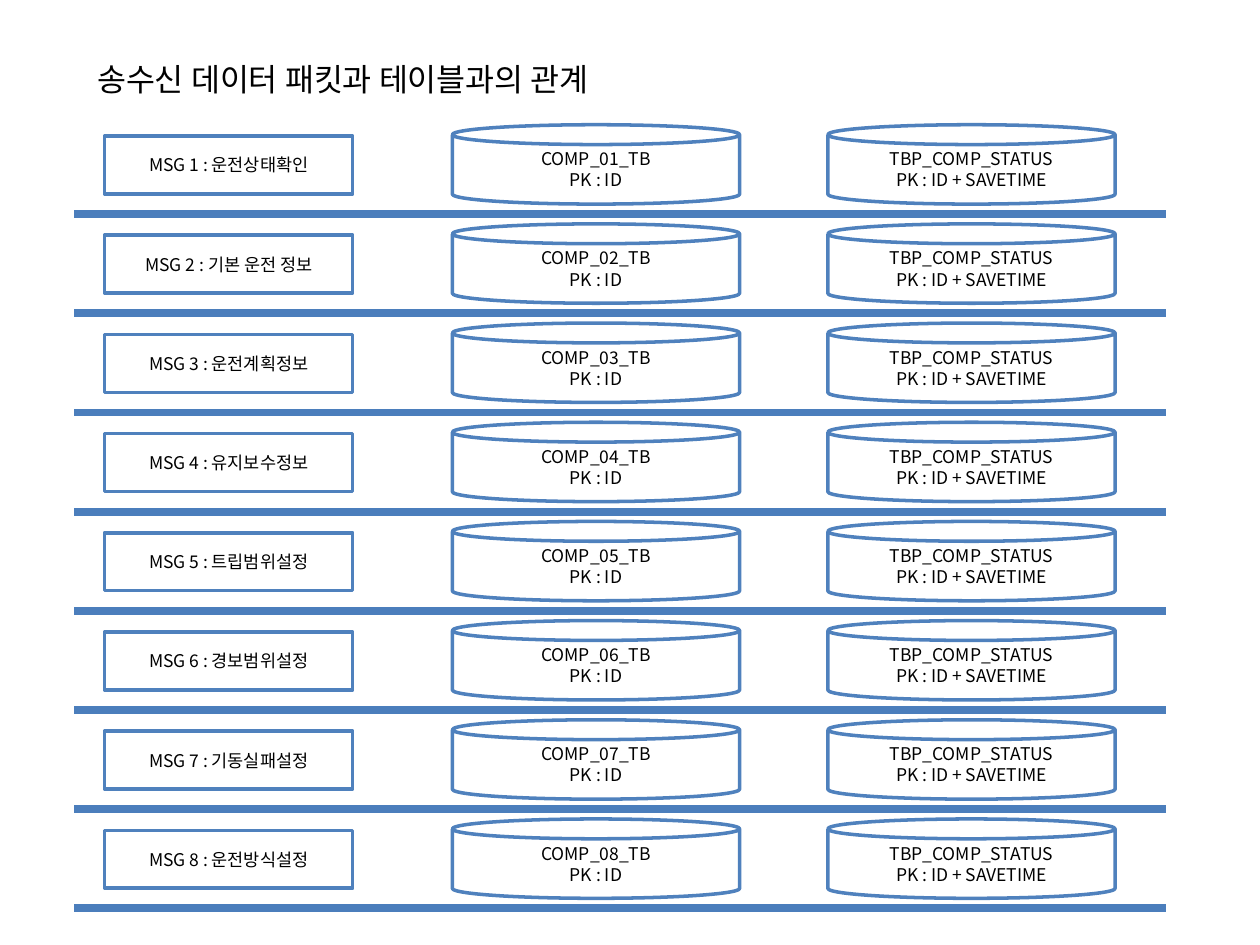
from pptx import Presentation
from pptx.dml.color import RGBColor
from pptx.enum.shapes import MSO_CONNECTOR, MSO_SHAPE
from pptx.enum.text import MSO_ANCHOR, MSO_AUTO_SIZE, PP_ALIGN
from pptx.oxml.ns import qn
from pptx.util import Inches, Pt
from lxml import etree

BLACK = RGBColor(0x00, 0x00, 0x00)
WHITE = RGBColor(0xFF, 0xFF, 0xFF)
OUTLINE = RGBColor(0x4F, 0x81, 0xBD)
DIVIDER = RGBColor(0x4B, 0x7E, 0xBC)
FONT = "Noto Sans CJK KR"

MESSAGES = ["운전상태확인", "기본 운전 정보", "운전계획정보", "유지보수정보",
            "트립범위설정", "경보범위설정", "기동실패설정", "운전방식설정"]
FIRST_DIVIDER, LAST_DIVIDER = 1.70, 7.21
ROW_PITCH = (LAST_DIVIDER - FIRST_DIVIDER) / (len(MESSAGES) - 1)


def write_lines(frame, lines, size, align):
    """Fill a text frame with one paragraph per line, in the Latin and East Asian font."""
    frame.text = "\n".join(lines)
    for paragraph in frame.paragraphs:
        paragraph.alignment = align
        for run in paragraph.runs:
            for name, value in {"name": FONT, "size": Pt(size)}.items():
                setattr(run.font, name, value)
            run.font.color.rgb = BLACK
            east_asian = etree.SubElement(run.font._element, qn("a:ea"))
            east_asian.set("typeface", FONT)


def add_box(preset, left, top, width, height, lines):
    box = slide.shapes.add_shape(preset, Inches(left), Inches(top), Inches(width), Inches(height))
    box.shadow.inherit = False
    box.fill.solid()
    box.fill.fore_color.rgb = WHITE
    box.line.color.rgb = OUTLINE
    box.line.width = Pt(2)
    box.text_frame.vertical_anchor = MSO_ANCHOR.MIDDLE
    write_lines(box.text_frame, lines, 10, PP_ALIGN.CENTER)


prs = Presentation()
prs.slide_width, prs.slide_height = Inches(10), Inches(7.5)
slide = prs.slides.add_slide(prs.slide_layouts[5])

title = slide.shapes.title
title_place = {"left": 0.67, "top": 0.43, "width": 4.6, "height": 0.4}
for side, length in title_place.items():
    setattr(title, side, Inches(length))
title_format = {"word_wrap": False, "auto_size": MSO_AUTO_SIZE.SHAPE_TO_FIT_TEXT,
                "vertical_anchor": MSO_ANCHOR.TOP}
for name, value in title_format.items():
    setattr(title.text_frame, name, value)
write_lines(title.text_frame, ["송수신 데이터 패킷과 테이블과의 관계"], 18, PP_ALIGN.LEFT)

for number, message in enumerate(MESSAGES, start=1):
    divider_y = FIRST_DIVIDER + (number - 1) * ROW_PITCH
    table_top = divider_y - 0.71

    add_box(MSO_SHAPE.CAN, 3.59, table_top, 2.28, 0.63, [f"COMP_{number:02}_TB", "PK : ID"])
    add_box(MSO_SHAPE.RECTANGLE, 0.83, divider_y - 0.62, 1.97, 0.46, [f"MSG {number} : {message}"])
    add_box(MSO_SHAPE.CAN, 6.57, table_top, 2.28, 0.63, ["TBP_COMP_STATUS", "PK : ID + SAVETIME"])

    divider = slide.shapes.add_connector(MSO_CONNECTOR.STRAIGHT, Inches(0.59), Inches(divider_y),
                                         Inches(9.25), Inches(divider_y))
    divider.line.color.rgb = DIVIDER
    divider.line.width = Pt(4.5)
    etree.SubElement(divider._element.spPr, qn("a:effectLst"))

prs.save("out.pptx")
